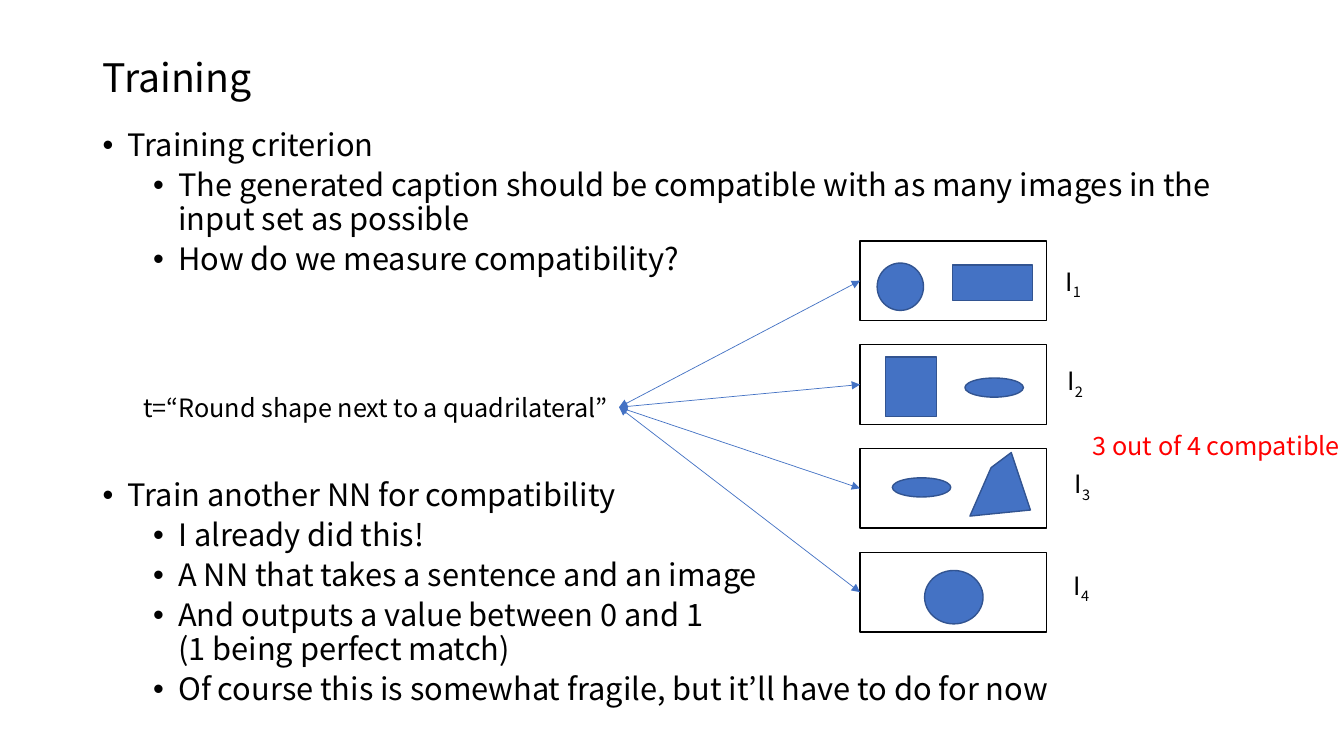
from pptx import Presentation
from pptx.dml.color import RGBColor
from pptx.enum.shapes import MSO_CONNECTOR, MSO_SHAPE
from pptx.enum.text import MSO_ANCHOR
from pptx.oxml.ns import qn
from pptx.util import Inches, Pt
from lxml.etree import SubElement

HUES = {"ink": "000000", "blue": "4472C4", "edge": "325491", "red": "FF0000"}
FONT = "Noto Sans CJK KR"
OVAL, RECT = MSO_SHAPE.OVAL, MSO_SHAPE.RECTANGLE

CRITERION = [
    (0, "Training criterion"),
    (1, "The generated caption should be compatible with as many images in the input set as possible"),
    (1, "How do we measure compatibility?"),
]
NETWORK = [
    (0, "Train another NN for compatibility"),
    (1, "I already did this!"),
    (1, "A NN that takes a sentence and an image"),
    (1, "And outputs a value between 0 and 1\v(1 being perfect match)"),
    (1, "Of course this is somewhat fragile, but it’ll have to do for now"),
]
PANELS = [
    ([(OVAL, 0.17, 0.22, 0.46, 0.47), (RECT, 0.92, 0.24, 0.79, 0.35)], (1.94, 0.2)),
    ([(RECT, 0.25, 0.12, 0.51, 0.59), (OVAL, 1.04, 0.33, 0.58, 0.19)], (1.96, 0.16)),
    ([(OVAL, 0.32, 0.29, 0.58, 0.19)], (2.03, 0.15)),
    ([(OVAL, 0.64, 0.18, 0.58, 0.53)], (2.02, 0.13)),
]
QUAD = [(1.3, 0.19), (1.09, 0.67), (1.69, 0.61), (1.5, 0.04)]


def tint(hue):
    """Return the named colour."""
    return RGBColor.from_string(HUES[hue])


def apply(item, form):
    """Set each attribute of a format dict on an item."""
    for name, value in form.items():
        setattr(item, name, value)


def style(run, size, hue="ink"):
    """Give a run its font, size and colour."""
    apply(run.font, {"name": FONT, "size": Pt(size)})
    run.font.color.rgb = tint(hue)


def frame(slide, box, anchor=MSO_ANCHOR.TOP):
    """Add a wrapping text box and return its text frame."""
    text = slide.shapes.add_textbox(*map(Inches, box)).text_frame
    apply(text, {"word_wrap": True, "vertical_anchor": anchor})
    return text


def label(slide, box, text, size=18, hue="ink", sub="", anchor=MSO_ANCHOR.TOP):
    """Write one line of text with an optional subscript."""
    para = frame(slide, box, anchor).paragraphs[0]
    for part in filter(None, (text, sub)):
        run = para.add_run()
        run.text = part
        style(run, size, hue)
    if sub:
        run.font._element.set("baseline", "-25000")


def bullets(slide, box, items):
    """Write a two-level bullet list."""
    body = frame(slide, box)
    for row, (level, text) in enumerate(items):
        para = body.add_paragraph() if row else body.paragraphs[0]
        props = para._p.get_or_add_pPr()
        props.set("marL", str(Inches(0.25 + 0.5 * level)))
        props.set("indent", str(Inches(-0.25)))
        SubElement(props, qn("a:buFont")).set("typeface", "Arial")
        SubElement(props, qn("a:buChar")).set("char", "•")
        gap = 5 if level else 10
        apply(para, {"level": level, "line_spacing": 0.9,
                     "space_before": Pt(gap if row else 0)})
        para.text = text
        for run in para.runs:
            style(run, 22)


def paint(shape, fill="blue", edge="edge"):
    """Fill and outline a shape without shadow."""
    shape.shadow.inherit = False
    if fill:
        shape.fill.solid()
        shape.fill.fore_color.rgb = tint(fill)
    else:
        shape.fill.background()
    shape.line.color.rgb = tint(edge)
    shape.line.width = Pt(1)


def panel(slide, box, parts):
    """Draw one framed image with its figures."""
    left, top = box[:2]
    paint(slide.shapes.add_shape(RECT, *map(Inches, box)), None, "ink")
    for kind, x, y, wide, high in parts:
        place = map(Inches, (left + x, top + y, wide, high))
        paint(slide.shapes.add_shape(kind, *place))


def quad(slide, left, top):
    """Draw the uneven four-sided figure."""
    dots = [(Inches(left + x), Inches(top + y)) for x, y in QUAD]
    pen = slide.shapes.build_freeform(*dots[0])
    pen.add_line_segments(dots[1:], close=True)
    paint(pen.convert_to_shape())


def arrow(slide, start, end):
    """Draw a thin line with a triangle at both ends."""
    line = slide.shapes.add_connector(MSO_CONNECTOR.STRAIGHT, *map(Inches, start + end))
    line.line.color.rgb = tint("blue")
    line.line.width = Pt(0.5)
    props = line._element.spPr
    for tip in ("a:headEnd", "a:tailEnd"):
        SubElement(props.find(qn("a:ln")), qn(tip)).set("type", "triangle")
    SubElement(props, qn("a:effectLst"))


def images(slide, box, step, source):
    """Stack the image panels, each with an arrow and a label."""
    left, top, wide, high = box
    for row, (parts, (x, y)) in enumerate(PANELS):
        head = top + row * step
        panel(slide, (left, head, wide, high), parts)
        arrow(slide, source, (left, head + high / 2))
        label(slide, (left + x, head + y, 0.49, 0.4), "I", sub=str(row + 1))
    quad(slide, left, top + 2 * step)


def main():
    """Build the slide and save it."""
    deck = Presentation()
    apply(deck, {"slide_width": Inches(13.33), "slide_height": Inches(7.5)})
    slide = deck.slides.add_slide(deck.slide_layouts[6])
    label(slide, (0.92, 0.4, 11.5, 0.73), "Training", 28, anchor=MSO_ANCHOR.MIDDLE)
    bullets(slide, (0.92, 1.24, 11.5, 1.6), CRITERION)
    bullets(slide, (0.92, 4.71, 11.5, 2.53), NETWORK)
    label(slide, (1.32, 3.84, 4.82, 0.4), "t=“Round shape next to a quadrilateral”")
    images(slide, (8.53, 2.39, 1.85, 0.79), 1.03, (6.14, 4.04))
    label(slide, (10.74, 4.22, 2.78, 0.4), "3 out of 4 compatible", hue="red")
    deck.save("out.pptx")


if __name__ == "__main__":
    main()
